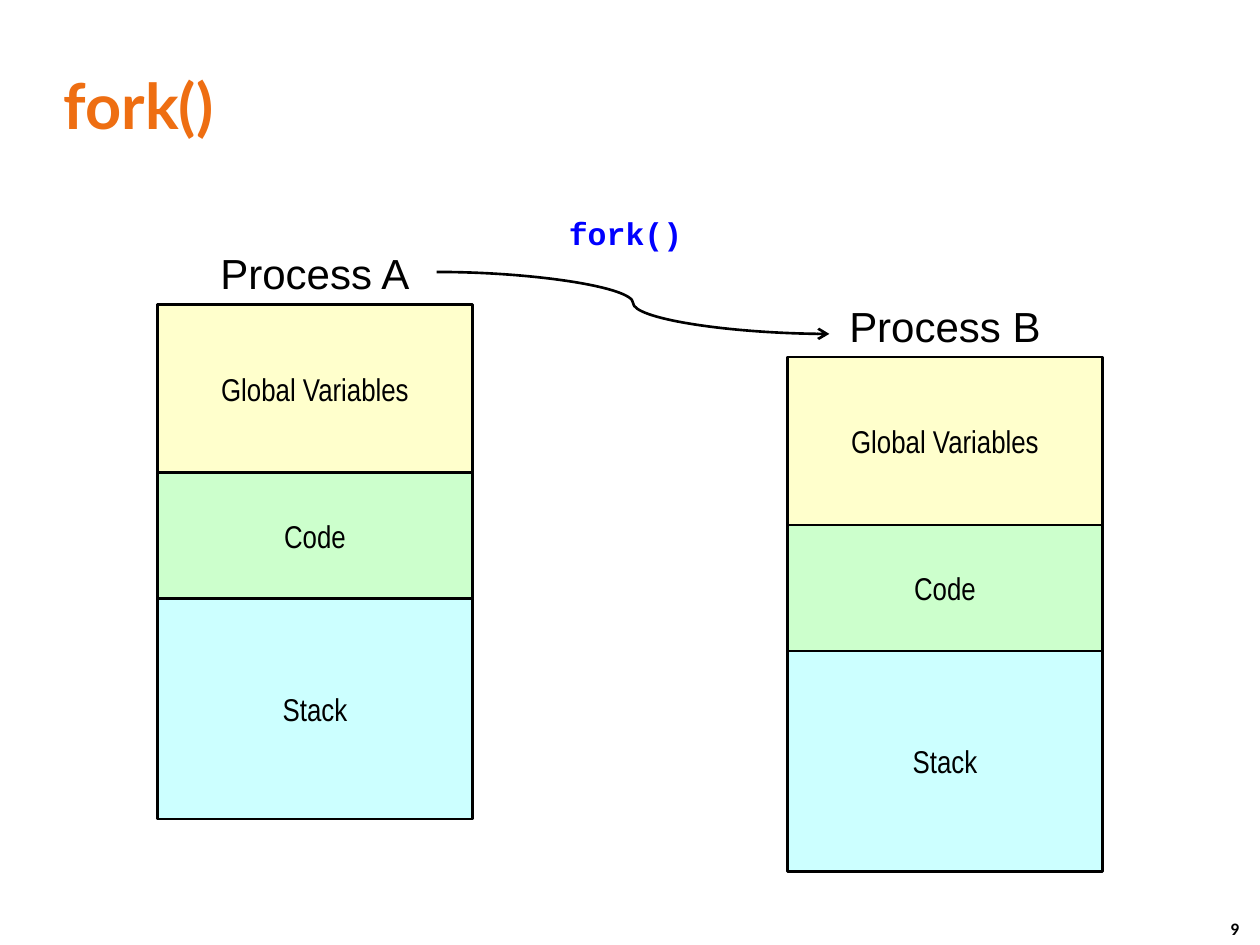
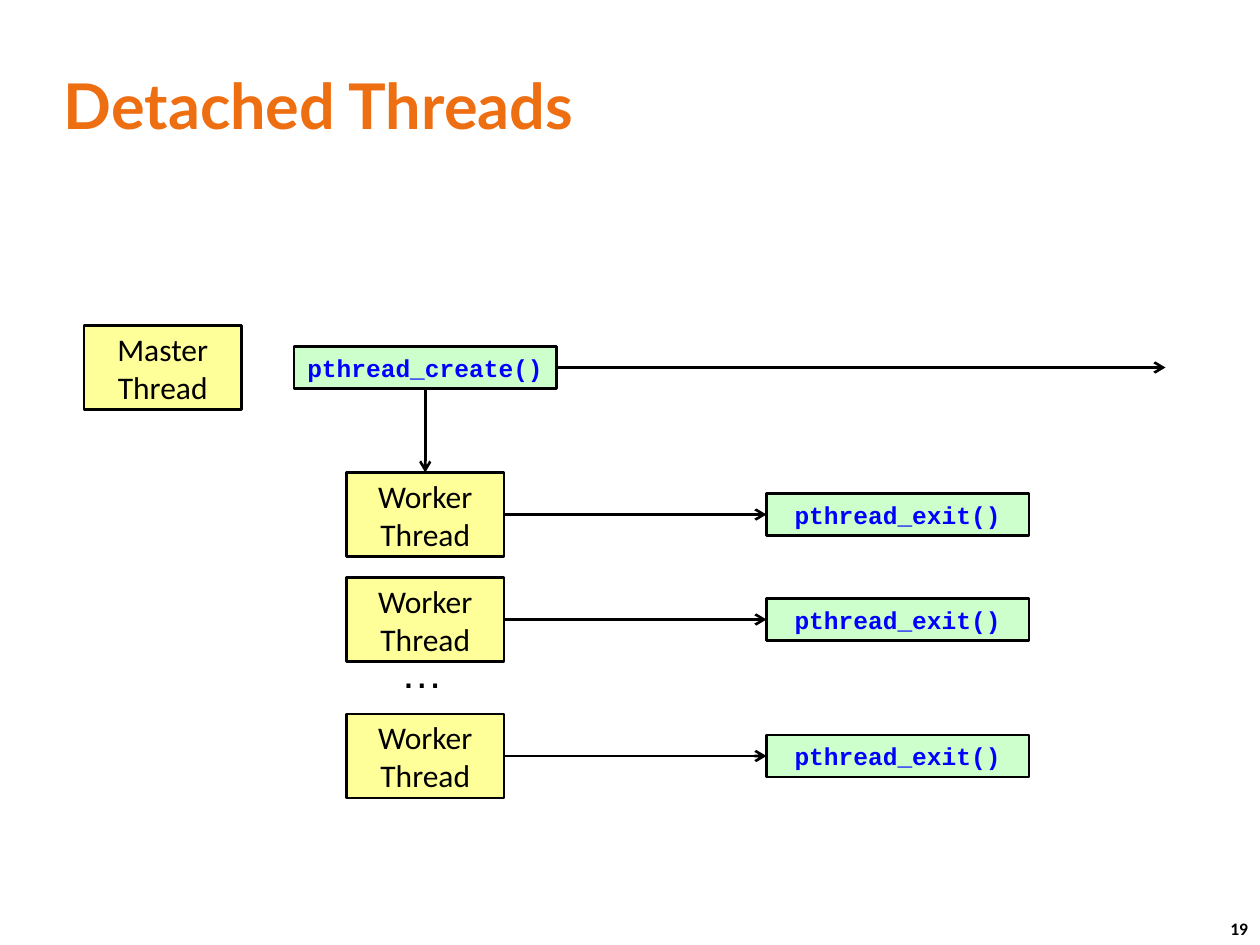
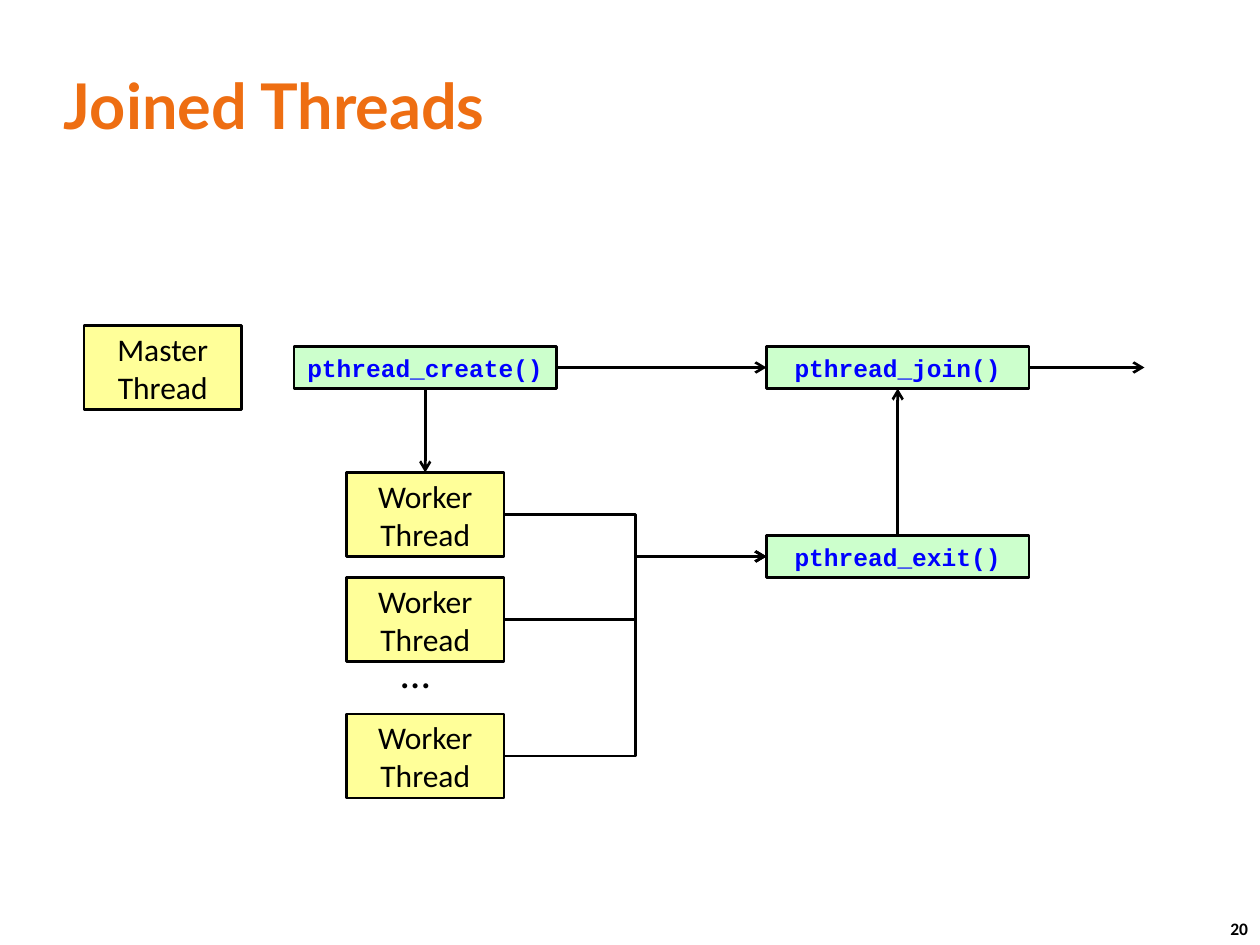
"""Slides on fork() and on detached and joined threads, laid out on a grid of 120 columns by 90 rows."""
from lxml import etree
from pptx import Presentation
from pptx.dml.color import RGBColor
from pptx.enum.shapes import MSO_CONNECTOR, MSO_SHAPE
from pptx.enum.text import MSO_ANCHOR, PP_ALIGN
from pptx.oxml.ns import qn
from pptx.util import Inches, Pt

RECT = MSO_SHAPE.RECTANGLE
STRAIGHT, ELBOW, CURVE = MSO_CONNECTOR.STRAIGHT, MSO_CONNECTOR.ELBOW, MSO_CONNECTOR.CURVE
LEFT, CENTER = PP_ALIGN.LEFT, PP_ALIGN.CENTER
TOP, MIDDLE = MSO_ANCHOR.TOP, MSO_ANCHOR.MIDDLE
SIDE_TOP, SIDE_LEFT, SIDE_BOTTOM, SIDE_RIGHT = range(4)

WIDTH, HEIGHT = Inches(10), Inches(7.5)
COLUMNS = 120
CELL = WIDTH / COLUMNS
LINE_WIDTH = Pt(1.5)

COLORS = {
    "text": "000000",
    "title": "EE6E12",
    "call": "0000FF",
    "globals": "FFFFCC",
    "code": "CCFFCC",
    "stack": "CCFFFF",
    "thread": "FFFF99",
}
SEGMENTS = [("Global Variables", "globals", 16), ("Code", "code", 12), ("Stack", "stack", 21)]
PROCESS_W = 30
THREAD_W, THREAD_H = 15, 8
CALL_W, CALL_H = 25, 4
CREATE_X, WORKER_X, EXIT_X = 28, 33, 73
MASTER_Y = 35
WORKER_YS = (49, 59, 72)


def cells(*counts):
    """Turn grid counts into lengths."""
    return [round(n * CELL) for n in counts]


def rgb(name):
    """Look up a colour by its role."""
    return RGBColor.from_string(COLORS[name])


def write(sp, text, font="Calibri", size=18, color="text", bold=False, align=LEFT, anchor=TOP):
    """Put formatted text into a shape."""
    tf = sp.text_frame
    tf.word_wrap = True
    tf.vertical_anchor = anchor
    p = tf.paragraphs[0]
    p.alignment = align
    r = p.add_run()
    r.text = text
    r.font.name = font
    r.font.size = Pt(size)
    r.font.bold = bold
    r.font.color.rgb = rgb(color)


def label(slide, x, y, w, h, text, **style):
    """Add a text box."""
    write(slide.shapes.add_textbox(*cells(x, y, w, h)), text, **style)


def box(slide, x, y, w, h, text, fill, **style):
    """Add an outlined rectangle with centred text."""
    sp = slide.shapes.add_shape(RECT, *cells(x, y, w, h))
    sp.shadow.inherit = False
    sp.fill.solid()
    sp.fill.fore_color.rgb = rgb(fill)
    sp.line.color.rgb = rgb("text")
    sp.line.width = LINE_WIDTH
    write(sp, text, align=CENTER, anchor=MIDDLE, **style)
    return sp


def thread(slide, x, mid_y, text):
    """Add a thread box centred on a row."""
    return box(slide, x, mid_y - THREAD_H / 2, THREAD_W, THREAD_H, text, "thread")


def call(slide, x, mid_y, text):
    """Add a function call box centred on a row."""
    return box(slide, x, mid_y - CALL_H / 2, CALL_W, CALL_H, text, "code",
               font="Courier New", size=14, color="call", bold=True)


def arrow(slide, start, end, kind=STRAIGHT):
    """Draw an arrow between ends given as (column, row) or (shape, side)."""
    c = slide.shapes.add_connector(kind, 0, 0, 0, 0)
    if isinstance(start[0], (int, float)):
        c.begin_x, c.begin_y = cells(*start)
    else:
        c.begin_connect(*start)
    if isinstance(end[0], (int, float)):
        c.end_x, c.end_y = cells(*end)
    else:
        c.end_connect(*end)
    c.line.color.rgb = rgb("text")
    c.line.width = LINE_WIDTH
    etree.SubElement(c.line._get_or_add_ln(), qn("a:tailEnd"), type="arrow")
    etree.SubElement(c._element.spPr, qn("a:effectLst"))


def new_slide(prs, title, number):
    """Add a blank slide with its title and number."""
    slide = prs.slides.add_slide(prs.slide_layouts[6])
    label(slide, 116, 86.8, 4.5, 3.2, number, size=10, bold=True)
    label(slide, 4.9, 4.9, 110, 10, title, font="Lato", size=36, color="title",
          bold=True, anchor=MIDDLE)
    return slide


def process(slide, x, y, name):
    """Stack the memory segments of a process under its name."""
    label(slide, x, y - 6, PROCESS_W, 6, name, font="Arial", size=24, align=CENTER)
    for text, fill, rows in SEGMENTS:
        box(slide, x, y, PROCESS_W, rows, text, fill, font="Arial Narrow")
        y += rows


def thread_start(slide, dots_font):
    """Add the master, the create call and the workers."""
    thread(slide, 8, MASTER_Y, "Master Thread")
    create = call(slide, CREATE_X, MASTER_Y, "pthread_create()")
    workers = [thread(slide, WORKER_X, y, "Worker Thread") for y in WORKER_YS]
    label(slide, 37, 61, 7, 6, "…", font=dots_font, size=24)
    arrow(slide, (create, SIDE_BOTTOM), (workers[0], SIDE_TOP))
    return create, workers


def fork_slide(prs):
    """Show a process and its forked copy."""
    slide = new_slide(prs, "fork()", "9")
    process(slide, 15, 29, "Process A")
    process(slide, 75, 34, "Process B")
    arrow(slide, (41.6, 25.9), (79, 31.8), CURVE)
    label(slide, 53, 19.8, 17, 6, "fork()", font="Courier New", color="call", bold=True)


def detached_slide(prs):
    """Show workers that each exit on their own."""
    slide = new_slide(prs, "Detached Threads", "19")
    create, workers = thread_start(slide, "Arial")
    arrow(slide, (create, SIDE_RIGHT), (111, MASTER_Y))
    for worker, y in zip(workers, WORKER_YS):
        leave = call(slide, EXIT_X, y, "pthread_exit()")
        arrow(slide, (worker, SIDE_RIGHT), (leave, SIDE_LEFT), ELBOW)


def joined_slide(prs):
    """Show workers that the master waits for."""
    slide = new_slide(prs, "Joined Threads", "20")
    create, workers = thread_start(slide, "Calibri")
    join = call(slide, EXIT_X, MASTER_Y, "pthread_join()")
    leave = call(slide, EXIT_X, 53, "pthread_exit()")
    arrow(slide, (create, SIDE_RIGHT), (join, SIDE_LEFT))
    for worker in workers:
        arrow(slide, (worker, SIDE_RIGHT), (leave, SIDE_LEFT), ELBOW)
    arrow(slide, (leave, SIDE_TOP), (join, SIDE_BOTTOM))
    arrow(slide, (join, SIDE_RIGHT), (109, MASTER_Y))


def main():
    """Build and save the slides."""
    prs = Presentation()
    prs.slide_width, prs.slide_height = WIDTH, HEIGHT
    fork_slide(prs)
    detached_slide(prs)
    joined_slide(prs)
    prs.save("out.pptx")


if __name__ == "__main__":
    main()
